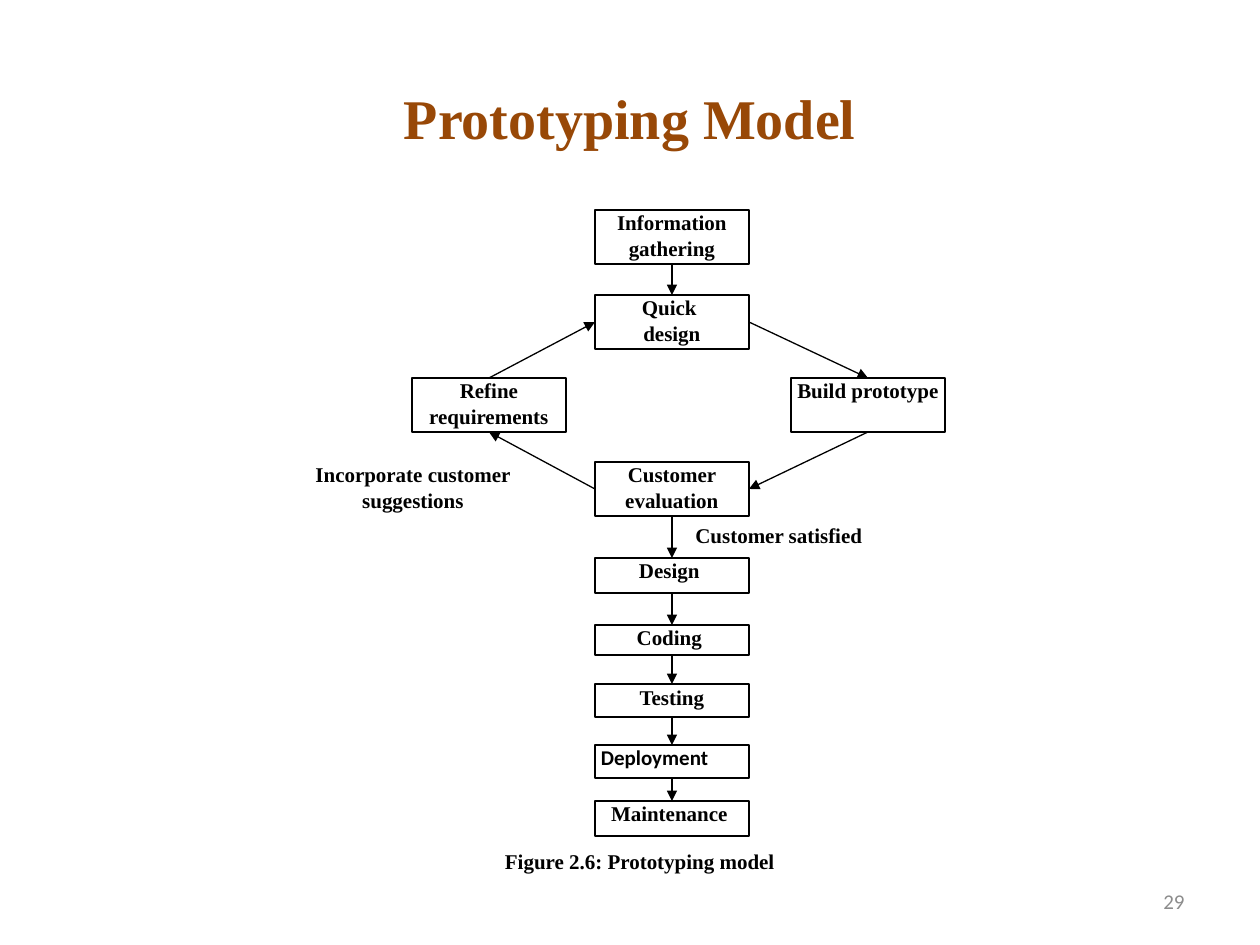
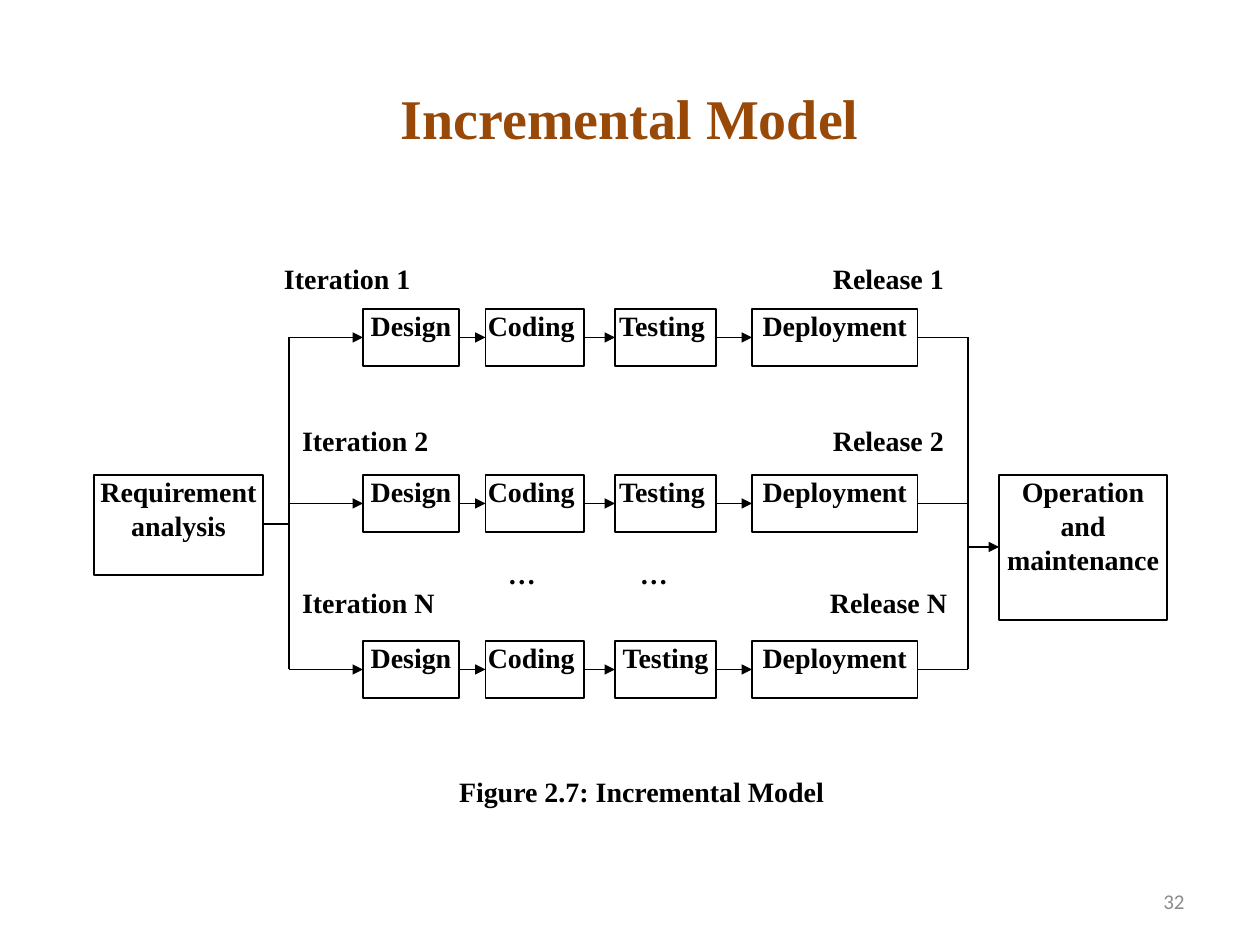
from lxml import etree
from pptx import Presentation
from pptx.dml.color import RGBColor
from pptx.enum.shapes import MSO_CONNECTOR, MSO_SHAPE
from pptx.enum.text import MSO_ANCHOR, PP_ALIGN
from pptx.oxml.ns import qn
from pptx.util import Emu, Pt

STRAIGHT, RECT = MSO_CONNECTOR.STRAIGHT, MSO_SHAPE.RECTANGLE
TOP, MIDDLE = MSO_ANCHOR.TOP, MSO_ANCHOR.MIDDLE
LEFT, CENTER, RIGHT = PP_ALIGN.LEFT, PP_ALIGN.CENTER, PP_ALIGN.RIGHT
SITE_TOP, SITE_LEFT, SITE_BOTTOM, SITE_RIGHT = range(4)

COLORS = {"title": "984807", "ink": "000000", "paper": "FFFFFF", "number": "8C8C8C"}
SERIF, SANS = "Times New Roman", "Calibri"
TITLE_BOX = (63, 38, 1134, 158)
NUMBER_BOX = (903, 876, 294, 50)


def px(n):
    """Turn pixels into EMU."""
    return Emu(round(n * 914400 / 126))


def rgb(name):
    """Look up a named colour."""
    return RGBColor.from_string(COLORS[name])


def write(tf, text, size=12, font=SERIF, color="ink", bold=True,
          align=CENTER, anchor=TOP, inset=None):
    """Fill a text frame, one paragraph for each line."""
    tf.word_wrap = True
    tf.vertical_anchor = anchor
    if inset is not None:
        tf.margin_left = tf.margin_right = px(inset)
        tf.margin_top = tf.margin_bottom = 0
    for i, line in enumerate(text.split("\n")):
        p = tf.add_paragraph() if i else tf.paragraphs[0]
        p.alignment = align
        r = p.add_run()
        r.text = line
        r.font.size, r.font.name, r.font.bold = Pt(size), font, bold
        r.font.color.rgb = rgb(color)


def add_box(s, text, x, y, w, h, border="ink", inset=0, **fmt):
    """Draw a white rectangle with text."""
    sp = s.shapes.add_shape(RECT, px(x), px(y), px(w), px(h))
    sp.shadow.inherit = False
    sp.fill.solid()
    sp.fill.fore_color.rgb = rgb("paper")
    sp.line.color.rgb = rgb(border)
    sp.line.width = Pt(0.75)
    write(sp.text_frame, text, inset=inset, **fmt)
    return sp


def add_label(s, text, x, y, w, h, align=LEFT, **fmt):
    """Place text in a rectangle without a visible border."""
    return add_box(s, text, x, y, w, h, border="paper", align=align, **fmt)


def add_line(s, x1, y1, x2, y2, arrow=False):
    """Draw a thin straight line, with an arrowhead at its end if asked."""
    c = s.shapes.add_connector(STRAIGHT, px(x1), px(y1), px(x2), px(y2))
    c.line.color.rgb = rgb("ink")
    c.line.width = Pt(0.75)
    spPr = c.element.spPr
    if arrow:
        etree.SubElement(spPr.find(qn("a:ln")), qn("a:tailEnd"), type="triangle")
    etree.SubElement(spPr, qn("a:effectLst"))
    return c


def link(s, a, site_a, b, site_b):
    """Join two boxes with an arrow glued to their sides."""
    c = add_line(s, 0, 0, 0, 0, arrow=True)
    c.begin_connect(a, site_a)
    c.end_connect(b, site_b)


def add_slide(prs, title, number):
    """Add a slide with its title and page number."""
    s = prs.slides.add_slide(prs.slide_layouts[5])
    sp = s.shapes.title
    sp.left, sp.top, sp.width, sp.height = map(px, TITLE_BOX)
    write(sp.text_frame, title, size=32, color="title", anchor=MIDDLE)
    sp = s.shapes.add_textbox(*map(px, NUMBER_BOX))
    write(sp.text_frame, number, font=SANS, color="number", bold=False,
          align=RIGHT, anchor=MIDDLE)
    return s


def draw_prototyping(s, x, y):
    """Draw the prototyping loop and the steps below it."""
    w, h, mid = 154, 54, x + 295

    def step(text, left, top, height=h, **fmt):
        """Place one step of the flow."""
        return add_box(s, text, left, y + top, w, height, inset=6, **fmt)

    gather = step("Information gathering", mid, 0)
    quick = step("Quick \ndesign", mid, 85)
    build = step("Build prototype", x + 491, 168)
    refine = step("Refine requirements", x + 112, 168)
    evaluate = step("Customer evaluation", mid, 252)
    add_label(s, "Customer satisfied", x + 383, y + 313, 272, 23, inset=12.6)
    add_label(s, "Incorporate customer suggestions", x, y + 252, 226, 60, align=CENTER)
    add_label(s, "Figure 2.6: Prototyping model", x + 205, y + 639, 316, 30)

    chain = [
        evaluate,
        step("Design ", mid, 348, 35),
        step("Coding ", mid, 415, 30),
        step("Testing", mid, 474, 33),
        step("Deployment ", mid, 535, 33, font=SANS, align=LEFT),
        step("Maintenance ", mid, 591, 35),
    ]
    for a, b in [(gather, quick), *zip(chain, chain[1:])]:
        link(s, a, SITE_BOTTOM, b, SITE_TOP)
    link(s, quick, SITE_RIGHT, build, SITE_TOP)
    link(s, build, SITE_BOTTOM, evaluate, SITE_RIGHT)
    link(s, evaluate, SITE_LEFT, refine, SITE_BOTTOM)
    link(s, refine, SITE_TOP, quick, SITE_LEFT)


def draw_iteration(s, x, y, h, testing):
    """Draw one row of four linked steps."""
    steps = [("Design", 0, 96), ("Coding ", 122.5, 98.5),
             (testing, 252, 101), ("Deployment", 389, 165.5)]
    row = [add_box(s, text, x + dx, y, w, h, size=16) for text, dx, w in steps]
    for a, b in zip(row, row[1:]):
        link(s, a, SITE_RIGHT, b, SITE_LEFT)


def draw_incremental(s, x, y):
    """Draw the iterations between the first and the last phase."""
    row_top, pitch, h = y + 47, 166, 57
    bus_in, bus_out = x + 195, x + 874
    first, last = row_top + h / 2, row_top + 2 * pitch + h / 2

    add_box(s, "Requirement analysis", x, y + 213, 169, 100, size=16)
    add_box(s, "Operation and maintenance", x + 905, y + 213, 168, 145, size=16)
    add_line(s, x + 169, y + 262, bus_in, y + 262)
    add_line(s, bus_out, y + 285, x + 905, y + 285, arrow=True)
    for bus in (bus_in, bus_out):
        add_line(s, bus, first, bus, last)

    rows = [("1", "Testing ", 190, 739), ("2", "Testing ", 208, 739),
            ("N", "Testing", 208, 736)]
    for i, (name, testing, iteration_x, release_x) in enumerate(rows):
        top, label_top = row_top + i * pitch, y + i * 162
        draw_iteration(s, x + 269, top, h, testing)
        add_line(s, bus_in, top + h / 2, x + 269, top + h / 2, arrow=True)
        add_line(s, x + 823.5, top + h / 2, bus_out, top + h / 2)
        add_label(s, f"Iteration {name}", x + iteration_x, label_top, 135, 33, size=16)
        add_label(s, f"Release {name}", x + release_x, label_top, 123, 33, size=16)

    for dx in (414, 546):
        add_label(s, "…", x + dx, y + 295, 50, 44, size=16)
    add_label(s, "Figure 2.7: Incremental Model", x + 365, y + 513, 386, 54, size=16)


def main():
    """Build and save the two slides."""
    prs = Presentation()
    prs.slide_width, prs.slide_height = px(1260), px(945)
    draw_prototyping(add_slide(prs, "Prototyping Model", "29"), 300, 210)
    draw_incremental(add_slide(prs, "Incremental Model", "32"), 94, 262)
    prs.save("out.pptx")


main()
